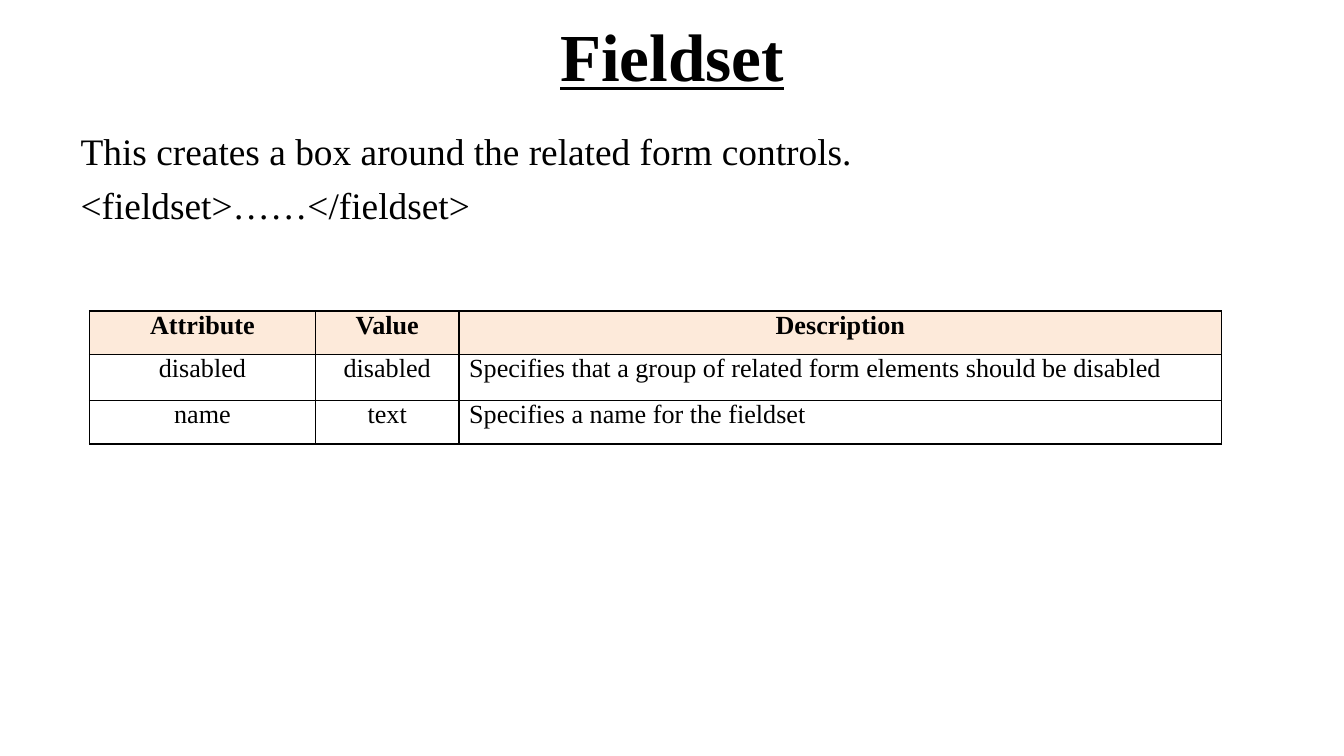
import pptx
import pptx.dml.color
import pptx.enum.text
import pptx.oxml
import pptx.oxml.ns
import pptx.util
from dataclasses import dataclass

Pt = pptx.util.Pt
ALIGN = pptx.enum.text.PP_ALIGN
ANCHOR = pptx.enum.text.MSO_ANCHOR

# Content
TITLE = "Fieldset"
BODY = [
    "This creates a box around the related form controls.",
    "<fieldset>……</fieldset>",
]
TABLE = [
    ("Attribute", "Value", "Description"),
    ("disabled", "disabled", "Specifies that a group of related form elements should be disabled"),
    ("name", "text", "Specifies a name for the fieldset"),
]

# Layout in points: left, top, width, height
PAGE_SIZE = (720, 405)
TITLE_AREA = (36, -1.5, 648, 61)
BODY_AREA = (36, 65, 648, 78)
TABLE_ORIGIN = (48, 166.5)
COLUMN_WIDTHS = (121, 77, 408.5)
ROW_HEIGHTS = (23.5, 24.5, 23.5)
CELL_MARGIN = 5.4


@dataclass(frozen=True)
class Theme:
    font: str = "Times New Roman"
    ink: str = "000000"
    header_fill: str = "FDEADA"
    title_size: float = 36
    body_size: float = 20
    table_size: float = 14
    border: float = 1


THEME = Theme()


def color(value):
    return pptx.dml.color.RGBColor.from_string(value)


def write(para, text, size, bold=False, underline=False, align=ALIGN.LEFT, before=0):
    para.alignment = align
    para.space_before = Pt(before)
    span = para.add_run()
    span.text = text
    font = span.font
    font.name, font.size = THEME.font, Pt(size)
    font.bold, font.underline = bold, underline
    font.color.rgb = color(THEME.ink)


def place(box, area, anchor):
    box.left, box.top, box.width, box.height = map(Pt, area)
    frame = box.text_frame
    frame.auto_size = pptx.enum.text.MSO_AUTO_SIZE.NONE
    frame.word_wrap = True
    frame.vertical_anchor = anchor
    return frame


def remove_bullet(para):
    properties = para._p.get_or_add_pPr()
    properties.set("marL", "0")
    properties.set("indent", "0")
    pptx.oxml.ns.qn("a:buNone")
    properties.append(pptx.oxml.parse_xml(f'<a:buNone {pptx.oxml.ns.nsdecls("a")}/>'))


def add_borders(cell):
    properties = cell._tc.get_or_add_tcPr()
    for side in ("lnL", "lnR", "lnT", "lnB"):
        properties.append(pptx.oxml.parse_xml(
            f'<a:{side} {pptx.oxml.ns.nsdecls("a")} w="{Pt(THEME.border)}">'
            f'<a:solidFill><a:srgbClr val="{THEME.ink}"/></a:solidFill></a:{side}>'))


def add_attribute_table(page):
    size = (sum(COLUMN_WIDTHS), sum(ROW_HEIGHTS))
    table = page.shapes.add_table(
        len(TABLE), len(COLUMN_WIDTHS), *map(Pt, TABLE_ORIGIN + size)).table
    table.first_row = table.horz_banding = False
    for column, width in zip(table.columns, COLUMN_WIDTHS):
        column.width = Pt(width)
    for row, height in zip(table.rows, ROW_HEIGHTS):
        row.height = Pt(height)

    for r, texts in enumerate(TABLE):
        for c, text in enumerate(texts):
            cell = table.cell(r, c)
            header = r == 0
            cell.margin_left = cell.margin_right = Pt(CELL_MARGIN)
            cell.margin_top = cell.margin_bottom = Pt(0)
            add_borders(cell)
            if header:
                cell.fill.solid()
                cell.fill.fore_color.rgb = color(THEME.header_fill)
            else:
                cell.fill.background()
            centered = header or c < len(texts) - 1
            write(cell.text_frame.paragraphs[0], text, THEME.table_size, bold=header,
                  align=ALIGN.CENTER if centered else ALIGN.LEFT)


def main():
    deck = pptx.Presentation()
    deck.slide_width, deck.slide_height = map(Pt, PAGE_SIZE)
    page = deck.slides.add_slide(deck.slide_layouts[1])

    # Title
    frame = place(page.shapes.title, TITLE_AREA, ANCHOR.MIDDLE)
    write(frame.paragraphs[0], TITLE, THEME.title_size, bold=True, underline=True,
          align=ALIGN.CENTER)

    # Explanation
    frame = place(page.placeholders[1], BODY_AREA, ANCHOR.TOP)
    for index, text in enumerate(BODY):
        para = frame.add_paragraph() if index else frame.paragraphs[0]
        remove_bullet(para)
        write(para, text, THEME.body_size, before=4.8 if index else 0)

    # Attributes
    add_attribute_table(page)
    deck.save("out.pptx")


if __name__ == "__main__":
    main()
